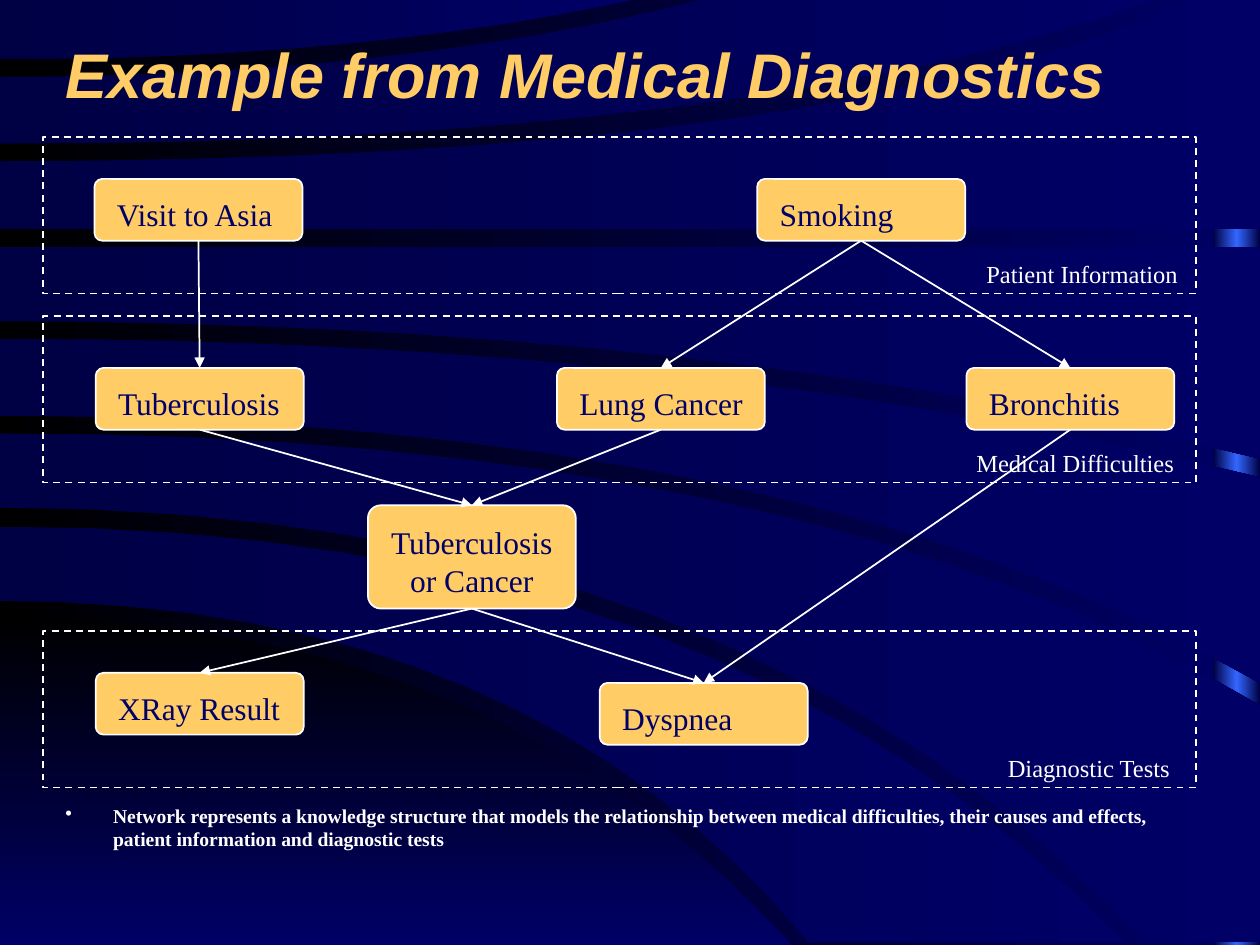
from copy import deepcopy

from pptx import Presentation
from pptx import util as u
from pptx.dml.color import RGBColor
from pptx.enum import dml, shapes, text
from pptx.oxml import ns, parse_xml

COLORS = {"gold": "FFCC66", "navy": "000066", "dusk": "000044",
          "black": "000000", "glow": "3366FF", "white": "FFFFFF"}
SERIF = "Times New Roman"
CURVE_STEPS = 16

HILL = ((4.91, 3.98, 6.28, 7.5), (7.5, 3, 6.28, 7.5))
SWOOSHES = [
    ((4.18, 5.74, 8.93, 7.48), (4.77, 4.19, 6.42, 7.48)),
    ((3.44, 6.4, 10, 5.6), (4.03, 5.88, 9.09, 7.48)),
    ((2.69, 5.54, 10, 3.79), (3.3, 6.3, 10, 5.42)),
    ((1.96, 5, 10, 1.96), (2.55, 5.6, 10, 3.64)),
    ((1.28, 6.69, 9.43, 0), (1.82, 5, 10, 1.82)),
    ((0.61, 3.22, 5.56, 0), (1.14, 6, 9.17, 0)),
    ((0, 2.5, 5.01, 0), (0.47, 2.83, 5.01, 0)),
]

NODE_WIDTH, NODE_HEIGHT, TALL_HEIGHT = 1.65, 0.49, 0.82
EITHER = "Tuberculosis\nor Cancer"
NODES = {"Visit to Asia": (0.75, 1.42), "Tuberculosis": (0.76, 2.92), EITHER: (2.92, 4.01),
         "XRay Result": (0.76, 5.34), "Dyspnea": (4.76, 5.42), "Bronchitis": (7.67, 2.92),
         "Lung Cancer": (4.42, 2.92), "Smoking": (6.01, 1.42)}
EDGES = [("Visit to Asia", "Tuberculosis"), ("Smoking", "Lung Cancer"),
         ("Smoking", "Bronchitis"), ("Tuberculosis", EITHER), ("Lung Cancer", EITHER),
         ("Bronchitis", "Dyspnea"), (EITHER, "Dyspnea"), (EITHER, "XRay Result")]
BANDS = [("Patient Information", 1.09, 1.24, 7.73, 1.72),
         ("Medical Difficulties", 2.51, 1.32, 7.65, 1.77),
         ("Diagnostic Tests", 5.01, 1.24, 7.9, 1.6)]


def rgb(name):
    """Return a named colour."""
    return RGBColor.from_string(COLORS[name])


def inches(box):
    """Convert a box in inches to lengths."""
    return [u.Inches(value) for value in box]


def fade(fill, start, end, angle=0):
    """Give a fill a two-colour linear gradient."""
    fill.gradient()
    fill.gradient_angle = angle
    for stop, name, place in zip(fill.gradient_stops, (start, end), (0, 1)):
        stop.color.rgb = rgb(name)
        stop.position = place


def write(frame, content, size, color, font=SERIF, bold=False, italic=False):
    """Write text into a frame and format its runs."""
    frame.text = content
    for para in frame.paragraphs:
        para.alignment = text.PP_ALIGN.LEFT
        for span in para.runs:
            span.font.size, span.font.name = u.Pt(size), font
            span.font.bold, span.font.italic = bold, italic
            span.font.color.rgb = rgb(color)


def add_label(page, box, content, size, color="white", wrap=True, **style):
    """Place a text box and return its frame."""
    frame = page.shapes.add_textbox(*inches(box)).text_frame
    frame.word_wrap = wrap
    write(frame, content, size, color, **style)
    return frame


def trace_edge(start_y, bend_x, end_x, end_y):
    """Sample a curve that leaves the left side level and bends to its end."""
    steps = [step / CURVE_STEPS for step in range(CURVE_STEPS + 1)]
    return [(2 * t * (1 - t) * bend_x + t * t * end_x,
             start_y + t * t * (end_y - start_y)) for t in steps]


def add_swoosh(page, edges, start, end, angle=0):
    """Draw a gradient outline between an upper and a lower edge."""
    upper, lower = [trace_edge(*edge) for edge in edges]
    ends = upper[-1], lower[-1]
    corner = (max(ends)[0], min(ends)[1])
    middle = [corner] if ends[0][0] != ends[1][0] else []
    corners = [inches(point) for point in upper + middle + lower[::-1]]
    builder = page.shapes.build_freeform(*corners[0])
    builder.add_line_segments(corners[1:], close=True)
    swoosh = builder.convert_to_shape()
    swoosh.shadow.inherit = False
    swoosh.line.fill.background()
    fade(swoosh.fill, start, end, angle)


def add_backdrop(page, stripe_box):
    """Draw the background, the glowing edge stripe and the swooshes."""
    fade(page.background.fill, "black", "navy")
    stripe = page.shapes.add_shape(shapes.MSO_SHAPE.RECTANGLE, *inches(stripe_box))
    stripe.shadow.inherit = False
    stripe.line.fill.background()
    fade(stripe.fill, "dusk", "dusk")
    first = stripe._element.spPr.find(".//" + ns.qn("a:gs"))
    first.addnext(deepcopy(first))
    middle = stripe.fill.gradient_stops[1]
    middle.position, middle.color.rgb = 0.5, rgb("glow")
    add_swoosh(page, HILL, "black", "navy", 270)
    for edges in SWOOSHES:
        add_swoosh(page, edges, "dusk", "navy")


def add_outlined(page, kind, box):
    """Add a shape with a thin white outline."""
    shape = page.shapes.add_shape(kind, *inches(box))
    shape.shadow.inherit = False
    shape.line.color.rgb = rgb("white")
    shape.line.width = u.Pt(1)
    return shape


def add_node(page, left, top, content):
    """Draw one network node with its text, centred if it has two lines."""
    tall = "\n" in content
    height = TALL_HEIGHT if tall else NODE_HEIGHT
    node = add_outlined(page, shapes.MSO_SHAPE.ROUNDED_RECTANGLE, (left, top, NODE_WIDTH, height))
    node.adjustments[0] = 0.125
    node.fill.solid()
    node.fill.fore_color.rgb = rgb("gold")
    frame = node.text_frame
    frame.vertical_anchor = text.MSO_ANCHOR.TOP
    write(frame, content, 18, "navy")
    frame.margin_left, frame.margin_right = inches((0.1, 0.1) if tall else (0.16, 0.02))
    frame.margin_top, frame.margin_bottom = inches((0.11, 0))
    if tall:
        for para in frame.paragraphs:
            para.alignment = text.PP_ALIGN.CENTER
    return node


def add_arrow(page, cause, effect):
    """Join the bottom of one node to the top of another."""
    arrow = page.shapes.add_connector(shapes.MSO_CONNECTOR.STRAIGHT, 0, 0, 0, 0)
    arrow.begin_connect(cause, 2)
    arrow.end_connect(effect, 0)
    arrow.line.color.rgb = rgb("white")
    arrow.line.width = u.Pt(1)
    outline = arrow._element.spPr.find(ns.qn("a:ln"))
    outline.append(parse_xml(f'<a:tailEnd {ns.nsdecls("a")} type="triangle"/>'))
    arrow._element.spPr.append(parse_xml(f'<a:effectLst {ns.nsdecls("a")}/>'))


def add_band(page, box, content, label_left, label_width):
    """Draw a dashed group frame with its label near the bottom."""
    label_top = box[1] + box[3] - 0.32
    add_label(page, (label_left, label_top, label_width, 0.33), content, 14, wrap=False)
    band = add_outlined(page, shapes.MSO_SHAPE.RECTANGLE, box)
    band.fill.background()
    band.line.dash_style = dml.MSO_LINE.DASH


def add_note(page, box, content):
    """Write the bulleted remark below the network."""
    para = add_label(page, box, content, 11.2, bold=True).paragraphs[0]
    para.space_before = u.Pt(4.5)
    props = para._p.get_or_add_pPr()
    props.set("marL", str(u.Inches(0.38)))
    props.set("indent", str(-u.Inches(0.38)))
    props.append(parse_xml(f'<a:buChar {ns.nsdecls("a")} char="•"/>'))


def main():
    """Build and save the slide."""
    deck = Presentation()
    deck.slide_width, deck.slide_height = inches((10, 7.5))
    page = deck.slides.add_slide(deck.slide_layouts[6])
    add_backdrop(page, (9.63, 0, 0.37, 7.5))
    title = add_label(page, (0.42, 0.17, 8.5, 0.83), "Example from Medical Diagnostics", 36,
                      color="gold", font="Arial", bold=True, italic=True)
    title.vertical_anchor = text.MSO_ANCHOR.MIDDLE
    add_note(page, (0.42, 6.33, 9.17, 0.5),
             "Network represents a knowledge structure that models the relationship between medical "
             "difficulties, their causes and effects, patient information and diagnostic tests")
    nodes = {name: add_node(page, *corner, name) for name, corner in NODES.items()}
    for cause, effect in EDGES:
        add_arrow(page, nodes[cause], nodes[effect])
    for name, top, height, label_left, label_width in BANDS:
        add_band(page, (0.34, top, 9.15, height), name, label_left, label_width)
    deck.save("out.pptx")


if __name__ == "__main__":
    main()
